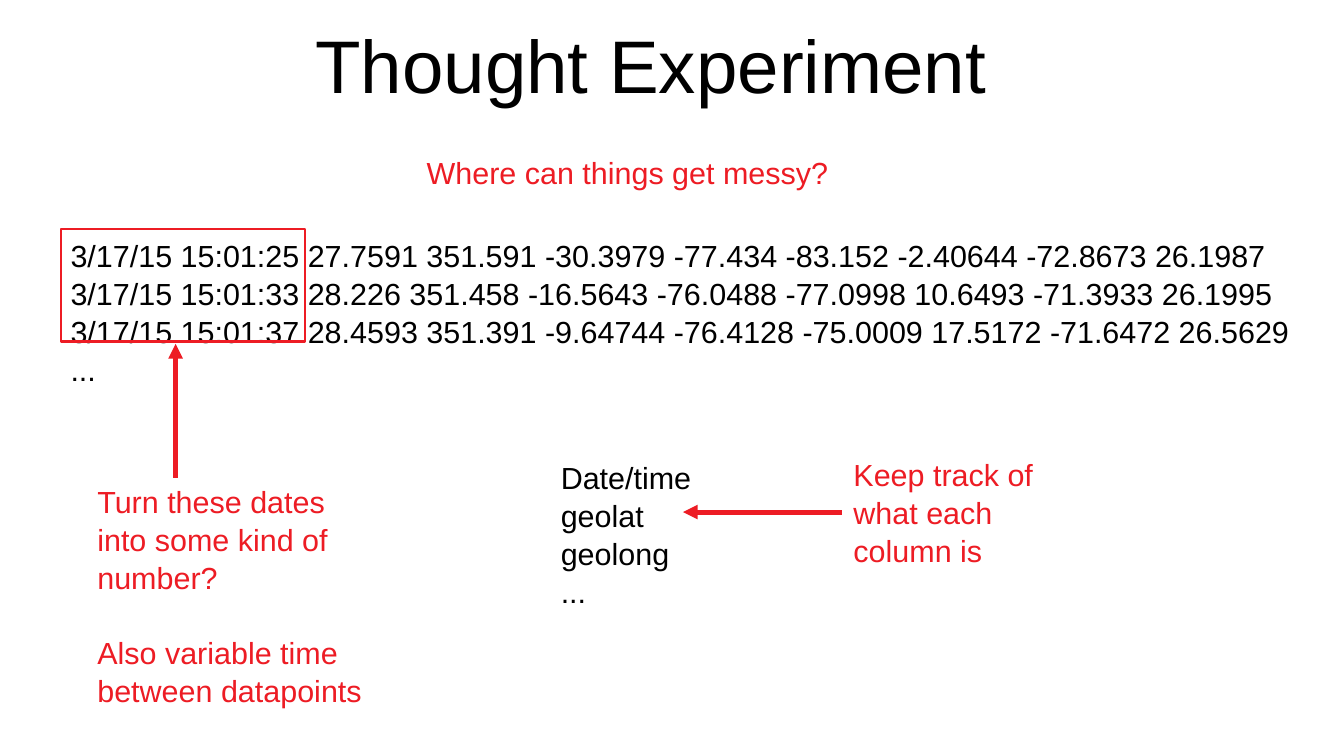
import dataclasses

import lxml.etree
import pptx
import pptx.dml.color
import pptx.enum.shapes
import pptx.enum.text
import pptx.oxml.ns
import pptx.presentation
import pptx.shapes.base
import pptx.slide
import pptx.util

Pt = pptx.util.Pt
FONT = "Arial"
BLACK = "000000"
RED = "ED1C24"
BODY_SIZE = 18
LINE_SPACING = 1.045
PARAGRAPH_GAP = 21.6


@dataclasses.dataclass(frozen=True)
class Note:
    left: float
    top: float
    width: float
    height: float
    color: str
    paragraphs: tuple[str, ...]
    gap: float = 0


@dataclasses.dataclass(frozen=True)
class Arrow:
    start: tuple[float, float]
    end: tuple[float, float]


NOTES = (
    Note(34.56, 135.36, 735.84, 108, BLACK, (
        "3/17/15 15:01:25 27.7591 351.591 -30.3979 -77.434 -83.152 -2.40644 -72.8673 26.1987",
        "3/17/15 15:01:33 28.226 351.458 -16.5643 -76.0488 -77.0998 10.6493 -71.3933 26.1995",
        "3/17/15 15:01:37 28.4593 351.391 -9.64744 -76.4128 -75.0009 17.5172 -71.6472 26.5629",
        "...",
    )),
    Note(324, 266.4, 144, 108, BLACK, ("Date/time", "geolat", "geolong", "...")),
    Note(50.4, 280.8, 180, 148.32, RED, (
        "Turn these dates into some kind of number?",
        "Also variable time between datapoints",
    ), PARAGRAPH_GAP),
    Note(496.8, 264.96, 144, 87.84, RED, ("Keep track of what each column is",)),
    Note(244.8, 86.4, 280.8, 27.36, RED, ("Where can things get messy?",)),
)

ARROWS = (
    Arrow((103.68, 282.24), (103.68, 203.04)),
    Arrow((496.8, 302.4), (403.2, 302.4)),
)


def rgb(color: str) -> pptx.dml.color.RGBColor:
    return pptx.dml.color.RGBColor.from_string(color)


def place(shape: pptx.shapes.base.BaseShape, left: float, top: float,
          width: float, height: float) -> None:
    shape.left, shape.top = Pt(left), Pt(top)
    shape.width, shape.height = Pt(width), Pt(height)


def set_font(paragraph, size: float, color: str) -> None:
    paragraph.font.name = FONT
    paragraph.font.size = Pt(size)
    paragraph.font.color.rgb = rgb(color)


def set_margins(frame, horizontal: float, vertical: float) -> None:
    frame.margin_left = frame.margin_right = Pt(horizontal)
    frame.margin_top = frame.margin_bottom = Pt(vertical)


def write_title(slide: pptx.slide.Slide, text: str) -> None:
    title = slide.shapes.title
    place(title, 27.36, 0, 714.24, 74.88)
    frame = title.text_frame
    frame.text = text
    frame.word_wrap = True
    frame.auto_size = pptx.enum.text.MSO_AUTO_SIZE.NONE
    frame.vertical_anchor = pptx.enum.text.MSO_ANCHOR.MIDDLE
    set_margins(frame, 0, 0)
    heading = frame.paragraphs[0]
    heading.alignment = pptx.enum.text.PP_ALIGN.CENTER
    set_font(heading, 44, BLACK)


def draw_note(slide: pptx.slide.Slide, note: Note) -> None:
    box = slide.shapes.add_textbox(
        Pt(note.left), Pt(note.top), Pt(note.width), Pt(note.height))
    frame = box.text_frame
    frame.word_wrap = True
    set_margins(frame, 7.2, 3.6)
    frame.text = "\n".join(note.paragraphs)
    for index, paragraph in enumerate(frame.paragraphs):
        paragraph.line_spacing = LINE_SPACING
        if index and note.gap:
            paragraph.space_before = Pt(note.gap)
        set_font(paragraph, BODY_SIZE, note.color)


def draw_arrow(slide: pptx.slide.Slide, arrow: Arrow) -> None:
    connector = slide.shapes.add_connector(
        pptx.enum.shapes.MSO_CONNECTOR.STRAIGHT,
        *map(Pt, arrow.start), *map(Pt, arrow.end))
    connector.line.color.rgb = rgb(RED)
    connector.line.width = Pt(2.89)
    qn = pptx.oxml.ns.qn
    properties = connector.element.find(qn("p:spPr"))
    head = lxml.etree.SubElement(properties.find(qn("a:ln")), qn("a:tailEnd"))
    head.set("type", "triangle")
    lxml.etree.SubElement(properties, qn("a:effectLst"))


def draw_date_frame(slide: pptx.slide.Slide) -> None:
    date_frame = slide.shapes.add_shape(
        pptx.enum.shapes.MSO_SHAPE.RECTANGLE, Pt(36), Pt(135.36), Pt(144), Pt(66.24))
    date_frame.shadow.inherit = False
    date_frame.fill.background()
    date_frame.line.color.rgb = rgb(RED)
    date_frame.line.width = Pt(1.45)


def main() -> None:
    deck = pptx.Presentation()
    deck.slide_width, deck.slide_height = Pt(793.44), Pt(446.4)
    slide = deck.slides.add_slide(deck.slide_layouts.get_by_name("Title Only"))
    write_title(slide, "Thought Experiment")
    for note in NOTES:
        draw_note(slide, note)
    for arrow in ARROWS:
        draw_arrow(slide, arrow)
    draw_date_frame(slide)
    deck.save("out.pptx")


if __name__ == "__main__":
    main()
